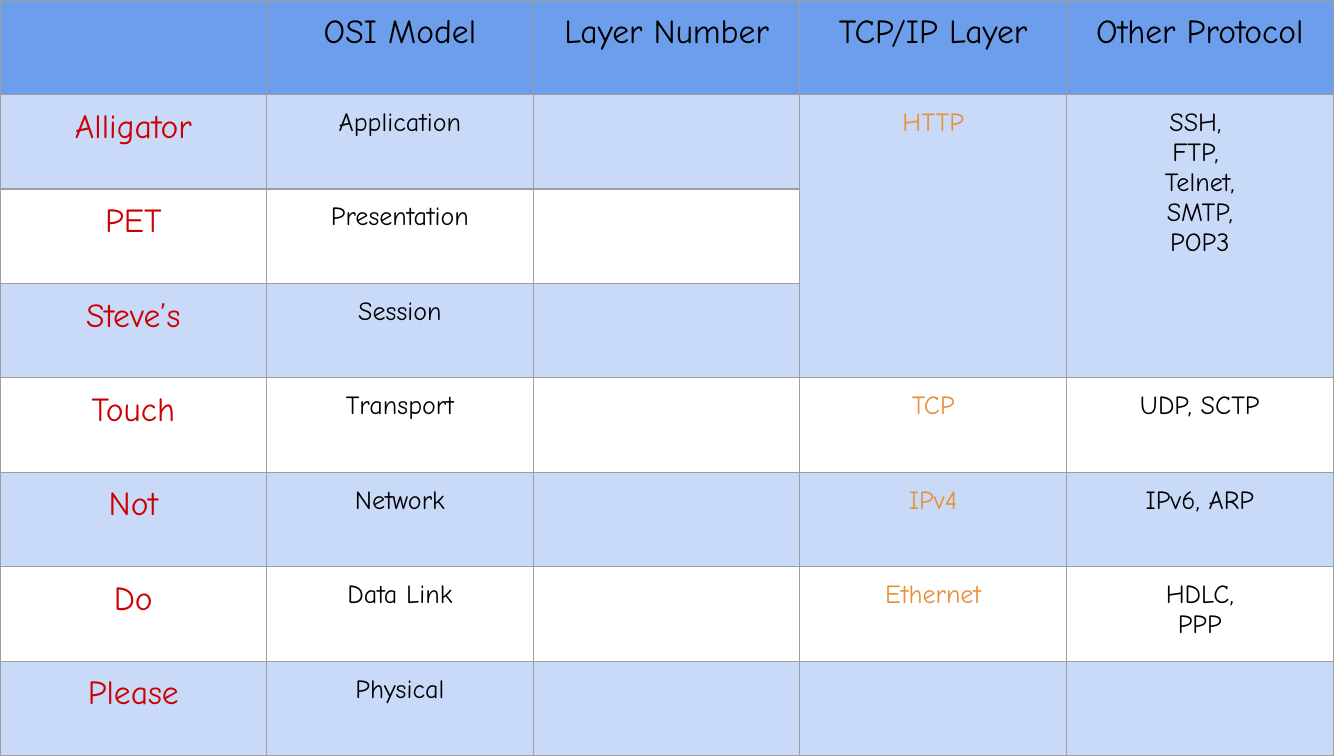
from dataclasses import dataclass

from lxml.etree import SubElement
from pptx import Presentation
from pptx.dml.color import RGBColor as Color
from pptx.enum.text import PP_ALIGN as Align
from pptx.oxml.ns import qn
from pptx.util import Inches, Pt


@dataclass(frozen=True)
class Theme:
    font: str = "Comic Neue"
    heading_size: int = 18
    body_size: int = 14
    header_fill: str = "6D9EEB"
    band_fill: str = "C9DAF8"
    border: str = "9E9E9E"
    border_width: float = 0.75
    text: str = "000000"
    mnemonic: str = "CC0000"
    protocol: str = "E69138"
    margin: float = 0.1


WIDTH = 10
HEIGHT = WIDTH * 9 / 16
TABLE_WIDTH = 9.92
TCP_IP_COLUMN, OTHER_COLUMN = 3, 4

HEADER = ["", "OSI Model", "Layer Number", "TCP/IP Layer", "Other Protocol"]
LAYERS = [
    ["Alligator", "Application", "", "HTTP", "SSH, \nFTP, \nTelnet,\nSMTP,\nPOP3"],
    ["PET", "Presentation", "", "", ""],
    ["Steve’s", "Session", "", "", ""],
    ["Touch", "Transport", "", "TCP", "UDP, SCTP"],
    ["Not", "Network", "", "IPv4", "IPv6, ARP"],
    ["Do", "Data Link", "", "Ethernet", "HDLC,\nPPP"],
    ["Please", "Physical", "", "", ""],
]


class SlideBuilder:
    def __init__(self, page, theme):
        self.page = page
        self.theme = theme

    def table(self, rows, width, height):
        """Add a table with equal columns and rows at the top left corner."""
        frame = self.page.shapes.add_table(
            len(rows), len(rows[0]), 0, 0, Inches(width), Inches(height))
        table = frame.table
        table.horz_banding = table.first_row = False
        for column in table.columns:
            column.width = Inches(width / len(rows[0]))
        for row in table.rows:
            row.height = Inches(height / len(rows))
        for row_index, row in enumerate(rows):
            for column_index, words in enumerate(row):
                cell = table.cell(row_index, column_index)
                self.borders(cell)
                self.fill(cell, row_index)
                self.words(cell, words, *self.text_style(row_index, column_index))
        return table

    def text_style(self, row_index, column_index):
        """Return the size and colour of the text at a table position."""
        theme = self.theme
        if row_index == 0:
            return theme.heading_size, theme.text
        if column_index == 0:
            return theme.heading_size, theme.mnemonic
        if column_index == TCP_IP_COLUMN:
            return theme.body_size, theme.protocol
        return theme.body_size, theme.text

    def fill(self, cell, row_index):
        if row_index and row_index % 2 == 0:
            cell.fill.background()
            return
        cell.fill.solid()
        colour = self.theme.band_fill if row_index else self.theme.header_fill
        cell.fill.fore_color.rgb = Color.from_string(colour)

    def borders(self, cell):
        properties = cell._tc.get_or_add_tcPr()
        for side in ("a:lnL", "a:lnR", "a:lnT", "a:lnB"):
            line = SubElement(properties, qn(side), w=str(Pt(self.theme.border_width)))
            solid = SubElement(line, qn("a:solidFill"))
            SubElement(solid, qn("a:srgbClr"), val=self.theme.border)

    def words(self, cell, words, size, colour):
        margin = Inches(self.theme.margin)
        cell.margin_left = cell.margin_right = margin
        cell.margin_top = cell.margin_bottom = margin
        cell.text_frame.text = words
        for para in cell.text_frame.paragraphs:
            para.alignment = Align.CENTER
            para.font.name = self.theme.font
            para.font.size = Pt(size)
            para.font.color.rgb = Color.from_string(colour)


def main():
    deck = Presentation()
    deck.slide_width, deck.slide_height = Inches(WIDTH), Inches(HEIGHT)
    page = deck.slides.add_slide(deck.slide_layouts[6])
    table = SlideBuilder(page, Theme()).table([HEADER, *LAYERS], TABLE_WIDTH, HEIGHT)
    for column in (TCP_IP_COLUMN, OTHER_COLUMN):
        table.cell(1, column).merge(table.cell(3, column))
    deck.save("out.pptx")


if __name__ == "__main__":
    main()
